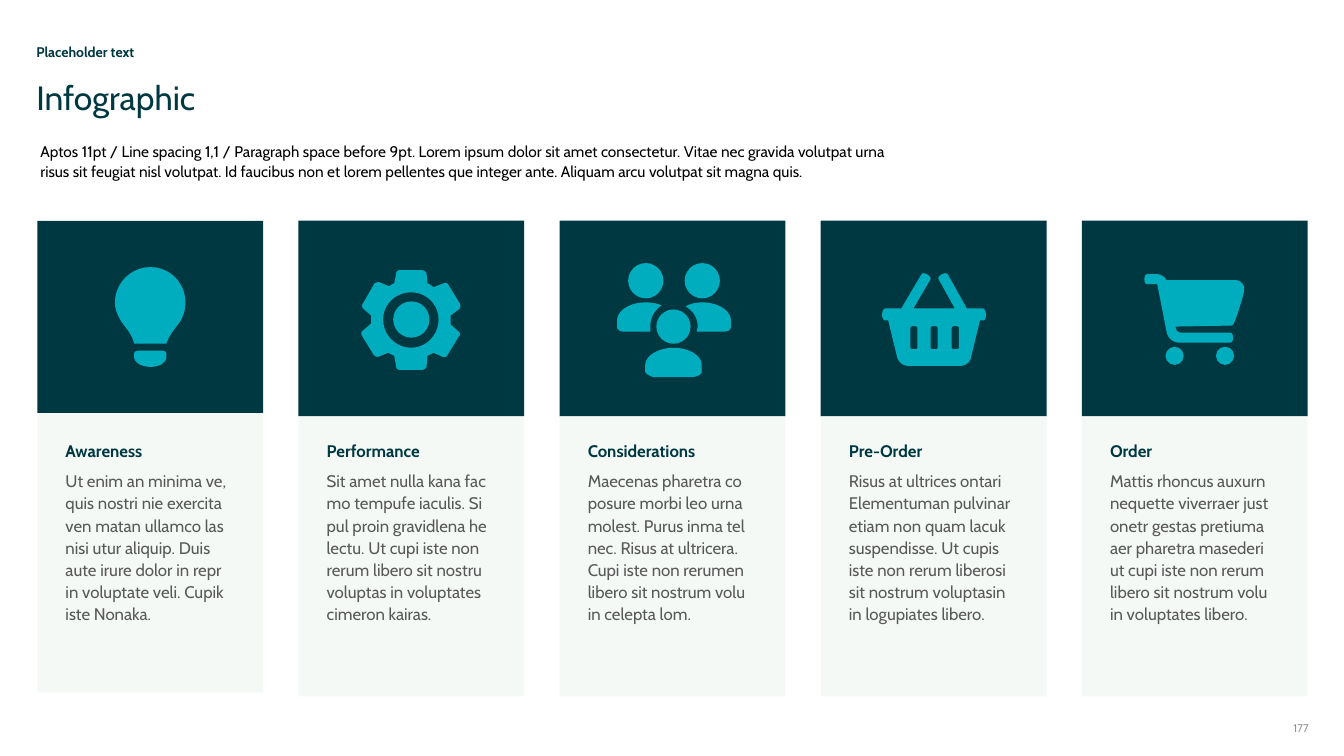
from dataclasses import dataclass

from pptx import Presentation
from pptx.dml.color import RGBColor
from pptx.enum.shapes import MSO_SHAPE
from pptx.enum.text import MSO_ANCHOR, PP_ALIGN
from pptx.util import Inches, Pt

RECTANGLE, OVAL = MSO_SHAPE.RECTANGLE, MSO_SHAPE.OVAL
LEFT, RIGHT = PP_ALIGN.LEFT, PP_ALIGN.RIGHT
TOP = MSO_ANCHOR.TOP
FONT = "Cabin"
NAVY, TEAL, MINT = "003841", "00ADBF", "F5F9F6"
BLACK, BODY_GREY, NUMBER_GREY = "000000", "595959", "939793"

CARD_LEFT, CARD_STEP, CARD_WIDTH, CARD_TOP = 0.37, 2.59, 2.24, 2.19
CURVE_STEPS = 10


@dataclass
class Circle:
    left: float
    top: float
    size: float


@dataclass
class Card:
    heading: str
    body: str
    outlines: list[str]  # M, L, C and Z commands, in inches on the slide
    circles: list[Circle]
    header_height: float = 1.94
    bottom: float = 6.91


# Icon outlines
BULB = [
    """M 1.14 3 C 1.14 2.81 1.3 2.65 1.49 2.65 C 1.69 2.65 1.84 2.81 1.84 3
    C 1.84 3.07 1.82 3.14 1.78 3.2 C 1.77 3.21 1.76 3.23 1.75 3.24
    C 1.71 3.29 1.67 3.35 1.65 3.41 L 1.33 3.41 C 1.32 3.35 1.28 3.29 1.24 3.24
    C 1.23 3.23 1.22 3.21 1.21 3.2 C 1.17 3.14 1.14 3.07 1.14 3 Z""",
    """M 1.38 3.48 L 1.61 3.48 C 1.63 3.48 1.65 3.49 1.65 3.51 L 1.65 3.54
    C 1.65 3.6 1.58 3.64 1.49 3.64 C 1.41 3.64 1.33 3.6 1.33 3.54 L 1.33 3.51
    C 1.33 3.49 1.35 3.48 1.38 3.48 Z""",
]
GEAR_LOWER = """M 4.47 3.22 L 4.55 3.29 C 4.56 3.3 4.57 3.32 4.55 3.34 L 4.44 3.52
    C 4.43 3.54 4.41 3.55 4.39 3.54 L 4.3 3.5 C 4.28 3.51 4.26 3.52 4.24 3.53
    L 4.23 3.64 C 4.22 3.66 4.2 3.67 4.18 3.67 L 3.97 3.67
    C 3.95 3.67 3.93 3.66 3.93 3.64 L 3.91 3.53 C 3.89 3.52 3.87 3.51 3.85 3.5
    L 3.75 3.54 C 3.73 3.54 3.71 3.53 3.7 3.51 L 3.59 3.33
    C 3.58 3.31 3.58 3.29 3.6 3.28 L 3.68 3.21 C 3.68 3.18 3.68 3.16 3.68 3.13"""
GEAR_UPPER = """L 3.6 3.06 C 3.59 3.05 3.59 3.02 3.6 3.01 L 3.71 2.82
    C 3.72 2.8 3.74 2.8 3.76 2.8 L 3.86 2.84 C 3.87 2.83 3.89 2.82 3.91 2.81
    L 3.93 2.71 C 3.93 2.69 3.95 2.68 3.97 2.68 L 4.18 2.68
    C 4.2 2.68 4.22 2.69 4.23 2.71 L 4.24 2.81 C 4.26 2.82 4.28 2.83 4.3 2.85
    L 4.4 2.81 C 4.42 2.8 4.44 2.81 4.45 2.83 L 4.56 3.01
    C 4.57 3.03 4.57 3.05 4.55 3.07 L 4.47 3.13 C 4.47 3.16 4.47 3.19 4.47 3.22 Z"""
GEAR_HOLE = """M 3.8 3.17 C 3.8 3.32 3.92 3.45 4.08 3.45 C 4.23 3.45 4.35 3.32 4.35 3.17
    C 4.35 3.02 4.23 2.9 4.08 2.9 C 3.92 2.9 3.8 3.02 3.8 3.17 Z"""
GEAR = [" ".join((GEAR_LOWER, GEAR_UPPER, GEAR_HOLE))]
PEOPLE = [
    """M 6.45 3.24 C 6.45 3.15 6.49 3.08 6.56 3.03 C 6.52 3.01 6.46 3 6.4 3
    C 6.25 3 6.12 3.08 6.12 3.18 L 6.12 3.24 C 6.12 3.27 6.15 3.29 6.19 3.29
    L 6.45 3.29 Z""",
    """M 6.92 3.24 C 6.92 3.15 6.87 3.08 6.8 3.04 C 6.85 3.01 6.91 3 6.97 3
    C 7.12 3 7.25 3.08 7.25 3.18 L 7.25 3.24 C 7.25 3.27 7.22 3.29 7.18 3.29
    L 6.91 3.29 Z""",
    """M 6.68 3.45 C 6.53 3.45 6.4 3.53 6.4 3.62 L 6.4 3.69
    C 6.41 3.71 6.44 3.73 6.48 3.74 L 6.88 3.74 C 6.93 3.73 6.96 3.71 6.96 3.69
    L 6.96 3.62 C 6.96 3.53 6.84 3.45 6.68 3.45 Z""",
]
BASKET_BODY = """M 9.75 3.06 L 9.59 3.06 L 9.4 2.72 C 9.38 2.69 9.29 2.74 9.31 2.77
    L 9.47 3.06 L 9.06 3.06 L 9.23 2.77 C 9.24 2.74 9.16 2.69 9.14 2.72
    L 8.94 3.06 L 8.78 3.06 C 8.75 3.07 8.75 3.11 8.75 3.13
    C 8.75 3.16 8.77 3.18 8.78 3.18 L 8.81 3.18 L 8.9 3.55
    C 8.92 3.6 8.96 3.63 9.01 3.63 L 9.52 3.63 C 9.57 3.63 9.62 3.6 9.63 3.55
    L 9.72 3.18 L 9.75 3.18 C 9.79 3.18 9.79 3.07 9.75 3.06 Z"""
BASKET_SLOTS = [
    f"M {x + 0.07} 3.45 C {x + 0.07} 3.47 {x} 3.47 {x} 3.45 L {x} 3.25 "
    f"C {x} 3.23 {x + 0.07} 3.23 {x + 0.07} 3.25 Z"
    for x in (9.03, 9.23, 9.44)
]
BASKET = [" ".join((BASKET_BODY, *BASKET_SLOTS))]
CART = [
    """M 12.2 3.4 L 11.7 3.4 C 11.63 3.4 11.58 3.35 11.57 3.29 L 11.48 2.83
    C 11.48 2.82 11.48 2.82 11.47 2.82 L 11.38 2.82 C 11.34 2.82 11.34 2.72 11.38 2.72
    L 11.47 2.72 C 11.51 2.72 11.55 2.74 11.57 2.78 L 12.26 2.78
    C 12.3 2.78 12.34 2.82 12.34 2.86 C 12.35 2.89 12.25 3.2 12.23 3.22
    C 12.22 3.23 12.21 3.23 12.2 3.23 L 11.66 3.24 C 11.66 3.27 11.68 3.3 11.72 3.3
    L 12.2 3.3 C 12.24 3.3 12.24 3.4 12.2 3.4 Z""",
]

CARDS = [
    Card("Awareness", "Ut enim an minima ve, quis nostri nie exercita ven matan ullamco las nisi utur "
         "aliquip. Duis aute irure dolor in repr in voluptate veli. Cupik iste Nonaka.",
         BULB, [], header_height=1.91, bottom=6.87),
    Card("Performance", "Sit amet nulla kana fac mo tempufe iaculis. Si pul proin gravidlena he lectu. "
         "Ut cupi iste non rerum libero sit nostru voluptas in voluptates cimeron kairas.",
         GEAR, [Circle(3.9, 2.99, 0.36)]),
    Card("Considerations", "Maecenas pharetra co posure morbi leo urna molest. Purus inma tel nec. Risus "
         "at ultricera. Cupi iste non rerumen libero sit nostrum volu in celepta lom.",
         PEOPLE, [Circle(6.23, 2.61, 0.35), Circle(6.79, 2.61, 0.35), Circle(6.51, 3.07, 0.34)]),
    Card("Pre-Order", "Risus at ultrices ontari Elementuman pulvinar etiam non quam lacuk suspendisse. Ut "
         "cupis iste non rerum liberosi sit nostrum voluptasin in logupiates libero.", BASKET, []),
    Card("Order", "Mattis rhoncus auxurn nequette viverraer just onetr gestas pretiuma aer pharetra "
         "masederi ut cupi iste non rerum libero sit nostrum volu in voluptates libero.",
         CART, [Circle(11.56, 3.44, 0.18), Circle(12.06, 3.44, 0.18)]),
]


def color(value: str) -> RGBColor:
    return RGBColor.from_string(value)


def paint(shape, fill: str) -> None:
    shape.shadow.inherit = False
    shape.fill.solid()
    shape.fill.fore_color.rgb = color(fill)
    shape.line.fill.background()


def add_shape(shapes, kind, left: float, top: float, width: float, height: float, fill: str) -> None:
    paint(shapes.add_shape(kind, Inches(left), Inches(top), Inches(width), Inches(height)), fill)


def add_text_frame(shapes, left: float, top: float, width: float, height: float, inset: float = 0):
    frame = shapes.add_textbox(Inches(left), Inches(top), Inches(width), Inches(height)).text_frame
    frame.word_wrap = True
    frame.vertical_anchor = TOP
    frame.margin_left = Inches(inset)
    frame.margin_top = frame.margin_right = frame.margin_bottom = 0
    return frame


def write(paragraph, text: str, size: float, fill: str, bold: bool = False,
          spacing: float = 1.0, align=LEFT) -> None:
    paragraph.text = text
    paragraph.alignment = align
    paragraph.line_spacing = spacing
    paragraph.font.name = FONT
    paragraph.font.size = Pt(size)
    paragraph.font.bold = bold
    paragraph.font.color.rgb = color(fill)


def curve_points(controls: list[tuple[float, float]]) -> list[tuple[float, float]]:
    """Points along a cubic curve, without its start."""
    points = []
    for step in range(1, CURVE_STEPS + 1):
        t = step / CURVE_STEPS
        weights = ((1 - t) ** 3, 3 * t * (1 - t) ** 2, 3 * t * t * (1 - t), t ** 3)
        points.append(tuple(sum(w * point[axis] for w, point in zip(weights, controls)) for axis in (0, 1)))
    return points


def add_outline(shapes, outline: str) -> None:
    tokens = iter(outline.split())
    builder, current = None, (0.0, 0.0)
    for command in tokens:
        if command == "Z":
            builder.add_line_segments([], close=True)
            continue
        count = 3 if command == "C" else 1
        points = [(float(next(tokens)), float(next(tokens))) for _ in range(count)]
        if command == "C":
            points = curve_points([current, *points])
        current = points[-1]
        lengths = [(Inches(x), Inches(y)) for x, y in points]
        if command != "M":
            builder.add_line_segments(lengths, close=False)
        elif builder is None:
            builder = shapes.build_freeform(*lengths[0])
        else:
            builder.move_to(*lengths[0])
    paint(builder.convert_to_shape(), TEAL)


def add_card(shapes, card: Card, left: float) -> None:
    panel_top = CARD_TOP + card.header_height
    add_shape(shapes, RECTANGLE, left, CARD_TOP, CARD_WIDTH, card.header_height, NAVY)
    add_shape(shapes, RECTANGLE, left, panel_top, CARD_WIDTH, card.bottom - panel_top, MINT)
    frame = add_text_frame(shapes, left + 0.28, 4.35, 1.64, 1.85)
    write(frame.paragraphs[0], card.heading, 12, NAVY, bold=True, spacing=1.1)
    body = frame.add_paragraph()
    write(body, card.body, 12, BODY_GREY, spacing=1.1)
    body.space_before = Pt(6)
    icon = shapes.add_group_shape().shapes
    for outline in card.outlines:
        add_outline(icon, outline)
    for circle in card.circles:
        add_shape(icon, OVAL, circle.left, circle.top, circle.size, circle.size, TEAL)


def main() -> None:
    presentation = Presentation()
    presentation.slide_width, presentation.slide_height = Inches(13.33), Inches(7.5)
    shapes = presentation.slides.add_slide(presentation.slide_layouts[6]).shapes
    # Header and page number
    write(add_text_frame(shapes, 0.36, 0.45, 12.61, 0.15).paragraphs[0],
          "Placeholder text", 10, NAVY, bold=True, spacing=0.9)
    write(add_text_frame(shapes, 0.36, 0.81, 12.61, 0.37).paragraphs[0],
          "Infographic", 24, NAVY, spacing=0.9)
    write(add_text_frame(shapes, 0.36, 1.39, 8.68, 0.4, inset=0.04).paragraphs[0],
          "Aptos 11pt / Line spacing 1,1 / Paragraph space before 9pt. Lorem ipsum dolor sit amet "
          "consectetur. Vitae nec gravida volutpat urna risus sit feugiat nisl volutpat. Id faucibus non et "
          "lorem pellentes que integer ante. Aliquam arcu volutpat sit magna quis.", 11, BLACK, spacing=1.1)
    write(add_text_frame(shapes, 12.23, 7.16, 0.75, 0.15).paragraphs[0],
          "177", 8, NUMBER_GREY, align=RIGHT)
    # Row of cards
    for index, card in enumerate(CARDS):
        add_card(shapes, card, CARD_LEFT + index * CARD_STEP)
    presentation.save("out.pptx")


if __name__ == "__main__":
    main()
